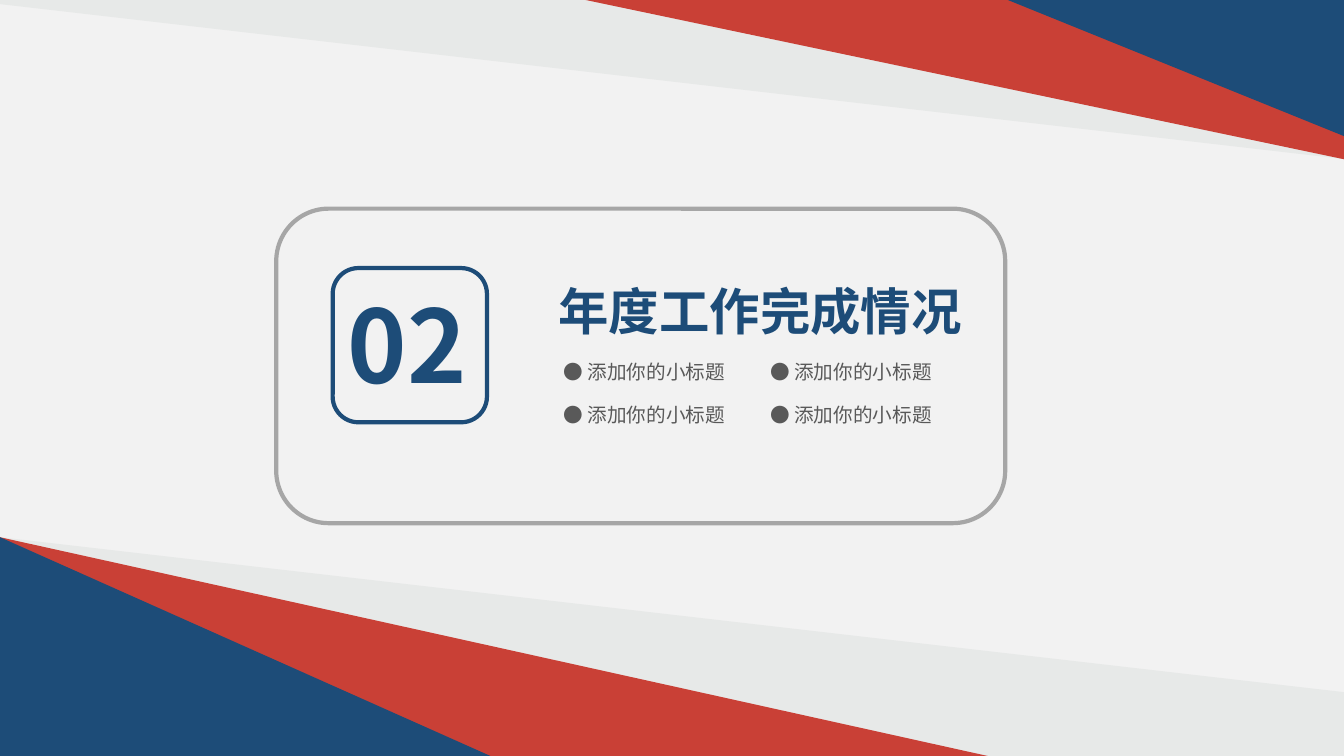
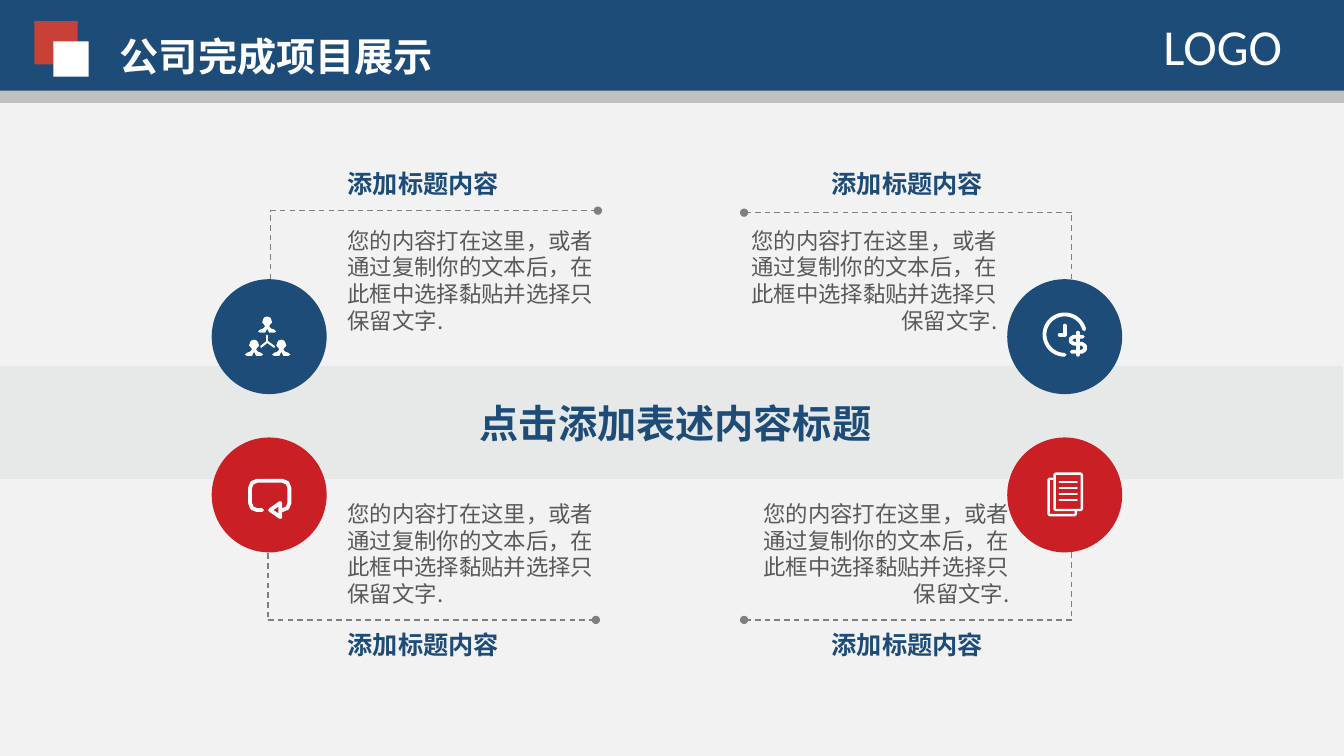
from math import cos, radians, sin

from lxml import etree
from pptx import Presentation
from pptx.dml.color import RGBColor
from pptx.enum import dml, shapes, text
from pptx.oxml.ns import qn
from pptx.util import Pt

PX = 9144  # 100 px to the inch
NAVY, RED, CRIMSON, WHITE = "1D4C78", "C94036", "CA1F25", "FFFFFF"
PAPER, MIST, SILVER = "F2F2F2", "E7E9E8", "BFBFBF"
FRAME, DASH, INK = "A6A6A6", "7F7F7F", "595959"
CJK = "Noto Sans CJK SC"
LEFT, RIGHT = text.PP_ALIGN.LEFT, text.PP_ALIGN.RIGHT
KIND = shapes.MSO_SHAPE
color = RGBColor.from_string


def paint(shape, fill=None, line=None, width=3):
    """Give a shape a flat fill and outline; None means neither is drawn."""
    shape.shadow.inherit = False
    if fill:
        shape.fill.solid()
        shape.fill.fore_color.rgb = color(fill)
    else:
        shape.fill.background()
    if line:
        shape.line.color.rgb = color(line)
        shape.line.width = Pt(width)
    else:
        shape.line.fill.background()


def write(page, place, lines, size, ink, bold=False, align=LEFT, font=CJK):
    box = page.shapes.add_textbox(*[n * PX for n in place])
    frame = box.text_frame
    frame.word_wrap = False
    frame.auto_size = text.MSO_AUTO_SIZE.SHAPE_TO_FIT_TEXT
    for index, line in enumerate(lines):
        para = frame.add_paragraph() if index else frame.paragraphs[0]
        para.alignment = align
        span = para.add_run()
        span.text = line
        span.font.name = font
        span.font.size = Pt(size)
        span.font.bold = bold
        span.font.color.rgb = color(ink)
        east_asian = etree.SubElement(span.font._element, qn("a:ea"))
        east_asian.set("typeface", font)


deck = Presentation()
deck.slide_width, deck.slide_height = 1333 * PX, 750 * PX
backdrop = deck.slide_master.background.fill
backdrop.solid()
backdrop.fore_color.rgb = color(PAPER)
blank = deck.slide_layouts[6]

# Section page
section = deck.slides.add_slide(blank)
for place, turn, fill in (
    ((-1050, -117, 2515, 290), 180, MIST),
    ((0, 533, 2515, 290), 0, MIST),
    ((0, 533, 1309, 290), 0, RED),
    ((0, 533, 650, 290), 0, NAVY),
    ((24, -117, 1309, 275), 180, RED),
    ((617, -155, 716, 290), 180, NAVY),
):
    wedge = section.shapes.add_shape(KIND.RIGHT_TRIANGLE, *[n * PX for n in place])
    wedge.rotation = turn
    paint(wedge, fill)
for place, line in (((274, 207, 723, 312), FRAME), ((330, 266, 153, 153), NAVY)):
    card = section.shapes.add_shape(KIND.ROUNDED_RECTANGLE, *[n * PX for n in place])
    paint(card, line=line)
write(section, (335, 276, 143, 131), ["02"], 72, NAVY, bold=True)
write(section, (544, 273, 420, 71), ["年度工作完成情况"], 36, NAVY, bold=True)
for left in (549, 754):
    for top in (352, 395):
        write(section, (left, top, 185, 34), ["● 添加你的小标题"], 14, INK)

# Project page
project = deck.slides.add_slide(blank)
for place, fill in (
    ((-3, 363, 1335, 112), MIST),
    ((0, 4, 1333, 98), SILVER),
    ((0, -8, 1333, 98), NAVY),
    ((34, 21, 43, 43), RED),
    ((53, 41, 35, 35), WHITE),
):
    paint(project.shapes.add_shape(KIND.RECTANGLE, *[n * PX for n in place]), fill)
write(project, (109, 27, 331, 57), ["公司完成项目展示"], 28, WHITE, bold=True)
write(project, (1144, 10, 145, 71), ["LOGO"], 36, WHITE, font="Calibri")

BODY = ["您的内容打在这里，或者", "通过复制你的文本后，在", "此框中选择黏贴并选择只", "保留文字."]
REACH = 325  # length of a dashed rule, from its corner to its dot
for disc, fill, title, body, align, corner, disc_edge in (
    ((210, 277), NAVY, (335, 162), (335, 220), LEFT, (268, 209), 277),
    ((999, 277), NAVY, (815, 162), (735, 220), RIGHT, (1063, 211), 277),
    ((210, 434), CRIMSON, (335, 619), (335, 491), LEFT, (266, 615), 549),
    ((999, 434), CRIMSON, (815, 619), (747, 491), RIGHT, (1063, 615), 548),
):
    place = (*disc, 114, 114)
    paint(project.shapes.add_shape(KIND.OVAL, *[n * PX for n in place]), fill)
    write(project, (*title, 170, 40), ["添加标题内容"], 18, NAVY, bold=True)
    write(project, (*body, 264, 118), BODY, 16, INK, align=align)
    x, y = corner
    dot = x + REACH if align == LEFT else x - REACH
    for ends, dotted in (((x, disc_edge, x, y), False), ((x, y, dot, y), True)):
        rule = project.shapes.add_connector(
            shapes.MSO_CONNECTOR.STRAIGHT, *[n * PX for n in ends])
        rule.line.color.rgb = color(DASH)
        rule.line.width = Pt(1)
        rule.line.dash_style = dml.MSO_LINE.DASH
        properties = rule._element.spPr
        if dotted:
            tail = etree.SubElement(properties.find(qn("a:ln")), qn("a:tailEnd"))
            tail.set("type", "oval")
        etree.SubElement(properties, qn("a:effectLst"))
write(project, (466, 391, 409, 57), ["点击添加表述内容标题"], 28, NAVY, bold=True)

# Icons: filled people, then strokes as (width in points, closed, points)
half = [(0, 0), (3, 1), (4, 3), (5, 6), (3, 8), (2, 10), (4, 12), (7, 13), (9, 15), (7, 16), (2, 16), (0, 12)]
person = half + [(-x, y) for x, y in reversed(half[1:-1])]
outlines = [
    (0, True, [(left + x, top + y) for x, y in person])
    for left, top in ((265, 314), (279, 337), (252, 337))
]
outlines += [(1.5, False, [(265, 339), end]) for end in ((265, 333), (259, 344), (272, 344))]
clock = [(1056 + 20 * cos(radians(a)), 332 + 20 * sin(radians(a))) for a in range(90, 346, 5)]
outlines += [
    (2.75, False, clock),
    (2.75, False, [(1056, 323), (1056, 332), (1051, 332)]),
    (2.75, False, [(1074, 334), (1065, 334), (1062, 336), (1062, 339), (1065, 341), (1073, 341),
                   (1076, 343), (1076, 347), (1073, 349), (1063, 349)]),
    (2.75, False, [(1069, 330), (1069, 352)]),
    (2.75, False, [(260, 506), (255, 506), (250, 504), (248, 499), (248, 484), (250, 479),
                   (255, 477), (280, 477), (285, 479), (287, 484), (287, 499), (285, 504),
                   (280, 506)]),
    (2.75, True, [(268, 506), (278, 499), (278, 513)]),
    (1.75, True, [(1047, 470), (1072, 470), (1073, 471), (1073, 505), (1072, 506), (1047, 506),
                  (1046, 505), (1046, 471)]),
    (1.75, False, [(1044, 475), (1041, 475), (1040, 476), (1040, 510), (1041, 511), (1066, 511),
                   (1067, 510), (1067, 507)]),
]
outlines += [(1.75, False, [(1051, y), (1068, y)]) for y in range(478, 497, 6)]
for width, closed, points in outlines:
    first, *others = [(round(x * PX), round(y * PX)) for x, y in points]
    builder = project.shapes.build_freeform(*first)
    builder.add_line_segments(others, close=closed)
    icon = builder.convert_to_shape()
    if width:
        paint(icon, line=WHITE, width=width)
        icon._element.spPr.find(qn("a:ln")).set("cap", "rnd")
    else:
        paint(icon, WHITE)

deck.save("out.pptx")
